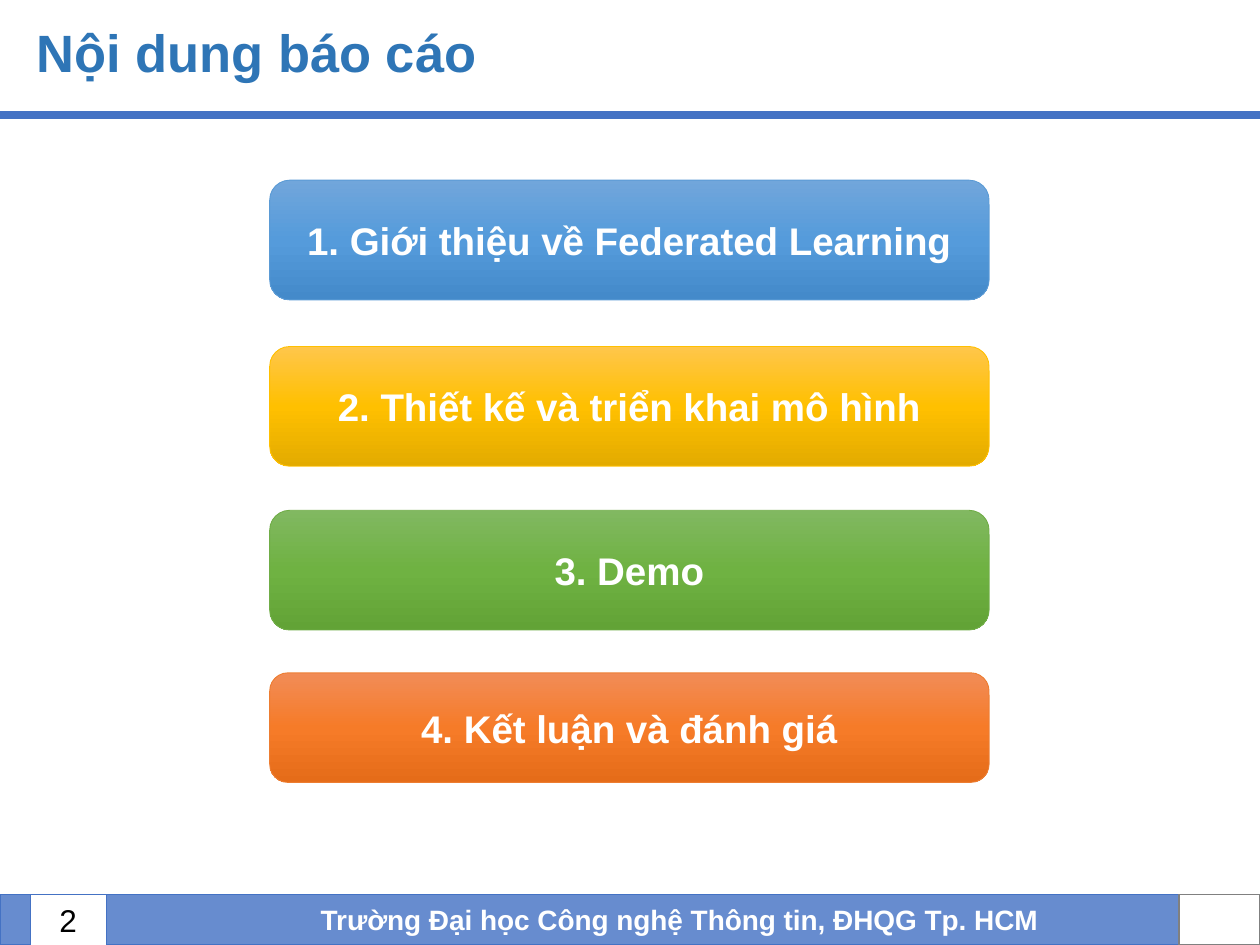
import copy

import pptx
import pptx.dml.color
import pptx.enum.shapes
import pptx.enum.text
import pptx.oxml
import pptx.oxml.ns
import pptx.util
from pptx.util import Inches

SHAPE = pptx.enum.shapes.MSO_SHAPE
ALIGN = pptx.enum.text.PP_ALIGN
BLUE, WHITE = "4472C4", "FFFFFF"


def rgb(value):
    return pptx.dml.color.RGBColor.from_string(value)


class SlideBuilder:
    """Holds the text style and the current slide."""

    font = "Arial"

    def __init__(self, slide):
        self.slide = slide

    def set_text(self, sp, text, size, color, bold=True, align=ALIGN.CENTER):
        tf = sp.text_frame
        tf.word_wrap = True
        tf.auto_size = pptx.enum.text.MSO_AUTO_SIZE.NONE
        tf.vertical_anchor = pptx.enum.text.MSO_ANCHOR.MIDDLE
        p = tf.paragraphs[0]
        p.text = text
        p.alignment = align
        p.font.name = self.font
        p.font.size = pptx.util.Pt(size)
        p.font.bold = bold
        p.font.color.rgb = rgb(color)
        return p

    def title(self, text, left, top, width, height):
        sp = self.slide.shapes.title
        sp.left, sp.top = Inches(left), Inches(top)
        sp.width, sp.height = Inches(width), Inches(height)
        p = self.set_text(sp, text, 30, "2E75B6", align=ALIGN.LEFT)
        p.line_spacing = 0.9

    def text(self, text, left, top, width, height, **style):
        sp = self.slide.shapes.add_textbox(
            Inches(left), Inches(top), Inches(width), Inches(height))
        self.set_text(sp, text, **style)

    def box(self, left, top, width, height, line, line_width,
            fill=None, kind=SHAPE.RECTANGLE):
        sp = self.slide.shapes.add_shape(
            kind, Inches(left), Inches(top), Inches(width), Inches(height))
        sp.shadow.inherit = False
        if fill:
            sp.fill.solid()
            sp.fill.fore_color.rgb = rgb(fill)
        sp.line.color.rgb = rgb(line)
        sp.line.width = pptx.util.Pt(line_width)
        return sp

    def gradient_box(self, text, left, top, width, height, line, colors):
        sp = self.box(left, top, width, height, line, 0.5,
                      kind=SHAPE.ROUNDED_RECTANGLE)
        sp.fill.gradient()
        sp.fill.gradient_angle = 270
        # The default gradient has two stops; add a third
        stops = sp._element.spPr.find(".//" + pptx.oxml.ns.qn("a:gsLst"))
        stops.append(copy.deepcopy(stops[0]))
        for stop, position, color in zip(sp.fill.gradient_stops, (0, 0.5, 1), colors):
            stop.position = position
            stop.color.rgb = rgb(color)
        self.set_text(sp, text, 22, WHITE)

    def rule(self, y, width, color, weight):
        line = self.slide.shapes.add_connector(
            pptx.enum.shapes.MSO_CONNECTOR.STRAIGHT, 0, Inches(y), Inches(width), Inches(y))
        line.line.color.rgb = rgb(color)
        line.line.width = pptx.util.Pt(weight)
        line._element.spPr.append(
            pptx.oxml.parse_xml("<a:effectLst %s/>" % pptx.oxml.ns.nsdecls("a")))

    def footer_bar(self, text, left, top, width, height):
        sp = self.box(left, top, width, height, BLUE, 1, BLUE)
        color = sp._element.spPr.find(
            pptx.oxml.ns.qn("a:solidFill") + "/" + pptx.oxml.ns.qn("a:srgbClr"))
        color.append(pptx.oxml.parse_xml(
            '<a:alpha %s val="81000"/>' % pptx.oxml.ns.nsdecls("a")))
        tf = sp.text_frame
        tf.margin_left = tf.margin_right = Inches(0.15)
        tf.margin_top = tf.margin_bottom = Inches(0.07)
        p = self.set_text(sp, text, 16, WHITE)
        p._p.get_or_add_pPr().set("marL", str(Inches(1.31)))


def main():
    prs = pptx.Presentation()
    prs.slide_width, prs.slide_height = Inches(10), Inches(7.5)
    s = SlideBuilder(prs.slides.add_slide(prs.slide_layouts[5]))

    # Footer and header rule
    top, height = 7.1, 0.4
    s.footer_bar("Trường Đại học Công nghệ Thông tin, ĐHQG Tp. HCM", 0, top, 9.48, height)
    s.box(0.24, top, 0.6, height, BLUE, 0.25, WHITE)
    s.rule(0.91, 10, BLUE, 4.5)
    s.box(9.36, top, 0.64, height, "808080", 1, WHITE)

    # Title and page number
    s.title("Nội dung báo cáo", 0.19, 0.16, 8.98, 0.56)
    s.text("2", 0.11, top, 0.6, height, size=18, color="000000",
           bold=False, align=ALIGN.RIGHT)

    # Agenda: text, top, height, outline, gradient
    agenda = [
        ("1. Giới thiệu về Federated Learning", 1.43, 0.95,
         "5B9BD5", ("71A6DB", "559BDB", "448ACA")),
        ("2. Thiết kế và triển khai mô hình", 2.75, 0.95,
         "FFC000", ("FFC64B", "FFC000", "E3AB00")),
        ("3. Demo", 4.05, 0.95,
         "70AD47", ("81B861", "6FB242", "62A336")),
        ("4. Kết luận và đánh giá", 5.34, 0.87,
         "ED7D31", ("F18C57", "F67B28", "E56C19")),
    ]
    for text, y, h, line, colors in agenda:
        s.gradient_box(text, 2.14, y, 5.71, h, line, colors)

    prs.save("out.pptx")


if __name__ == "__main__":
    main()
